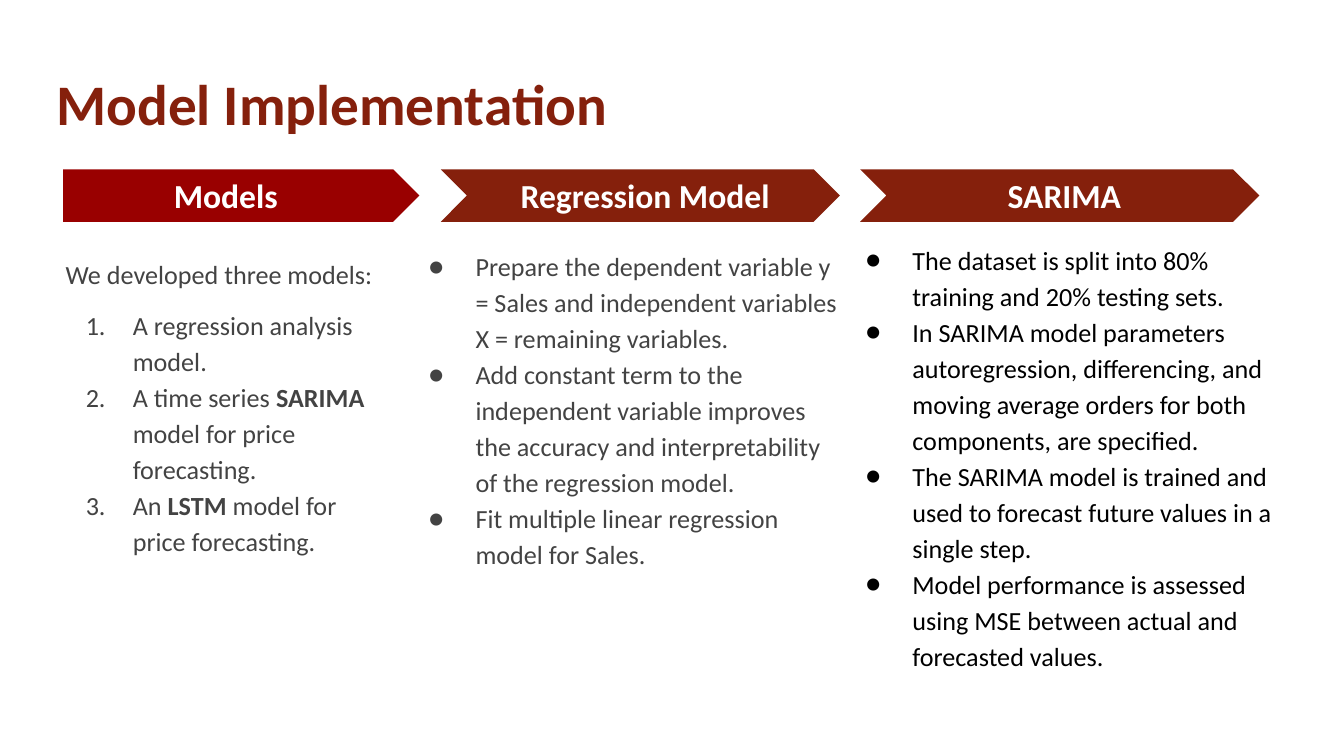
import dataclasses

import pptx
import pptx.dml.color
import pptx.enum.shapes
import pptx.enum.text
import pptx.oxml.ns
import pptx.util
from lxml import etree
from pptx.util import Inches

Kind = pptx.enum.shapes.MSO_SHAPE
Align = pptx.enum.text.PP_ALIGN
Anchor = pptx.enum.text.MSO_ANCHOR


@dataclasses.dataclass(frozen=True)
class Theme:
    font: str = "Calibri"
    rust: str = "85200C"
    red: str = "990000"
    white: str = "FFFFFF"
    gray: str = "434343"
    black: str = "000000"
    title: float = 30.7
    head: float = 18
    body: float = 14


THEME = Theme()

# Words between asterisks are bold
MODELS = [
    "A regression analysis model.",
    "A time series *SARIMA *model for price forecasting.",
    "An *LSTM* model for price forecasting.",
]
REGRESSION = [
    "Prepare the dependent variable y = Sales and independent variables "
    "X = remaining variables.",
    "Add constant term to the independent variable improves the accuracy "
    "and interpretability of the regression model.",
    "Fit multiple linear regression model for Sales.",
]
SARIMA = [
    "The dataset is split into 80% training and 20% testing sets.",
    "In SARIMA model parameters autoregression, differencing, and moving "
    "average orders for both components, are specified.",
    "The SARIMA model is trained and used to forecast future values in a "
    "single step.",
    "Model performance is assessed using MSE between actual and forecasted "
    "values.",
]


def paint(text):
    return pptx.dml.color.RGBColor.from_string(text)


def add_box(slide, left, top, width, height, pad=(0.1, 0.1), anchor=Anchor.TOP):
    box = slide.shapes.add_textbox(
        Inches(left), Inches(top), Inches(width), Inches(height))
    frame = box.text_frame
    frame.word_wrap = True
    frame.vertical_anchor = anchor
    frame.margin_left = frame.margin_right = Inches(pad[0])
    frame.margin_top = frame.margin_bottom = Inches(pad[1])
    return frame


def add_mark(para, mark, color):
    """Give a paragraph a hanging bullet, or a number if mark is '1.'."""
    props = para._p.get_or_add_pPr()
    props.set("marL", str(Inches(0.5)))
    props.set("indent", str(Inches(-0.35)))

    def add(parent, tag, **attrs):
        return etree.SubElement(parent, pptx.oxml.ns.qn(tag), **attrs)

    add(add(props, "a:buClr"), "a:srgbClr", val=color)
    add(props, "a:buFont", typeface=THEME.font)
    if mark == "1.":
        add(props, "a:buAutoNum", type="arabicPeriod")
    else:
        add(props, "a:buChar", char=mark)


def write(frame, text, size=THEME.body, color=THEME.gray, bold=False,
          align=None, line=1.0, before=0, mark=None):
    """Add one paragraph, using the empty first one if it is free."""
    para = frame.paragraphs[0]
    if para.runs:
        para = frame.add_paragraph()
    para.alignment = align
    para.line_spacing = line
    para.space_before = pptx.util.Pt(before)
    if mark:
        add_mark(para, mark, color)
    for i, part in enumerate(text.split("*")):
        run = para.add_run()
        run.text = part
        run.font.name = THEME.font
        run.font.size = pptx.util.Pt(size)
        run.font.bold = bold or i % 2 == 1
        run.font.color.rgb = paint(color)


def add_head(slide, text, kind, left, width, fill, inset):
    shape = slide.shapes.add_shape(
        kind, Inches(left), Inches(1.26), Inches(width), Inches(0.39))
    shape.shadow.inherit = False
    shape.adjustments[0] = 0.5
    shape.fill.solid()
    shape.fill.fore_color.rgb = paint(fill)
    shape.line.fill.background()
    label = add_box(slide, left + inset, 1.32, 2.42, 0.26, anchor=Anchor.MIDDLE)
    write(label, text, size=THEME.head, color=THEME.white, bold=True,
          align=Align.CENTER)


def add_list(frame, items, mark="●", color=THEME.gray, before=0):
    for i, item in enumerate(items):
        write(frame, item, color=color, line=1.15, mark=mark,
              before=0 if i else before)


def main():
    # One slide, 16 to 9
    deck = pptx.Presentation()
    deck.slide_width = Inches(10)
    deck.slide_height = Inches(10) * 9 // 16
    slide = deck.slides.add_slide(deck.slide_layouts[6])

    # Title
    title = add_box(slide, 0.35, 0.52, 7.95, 0.55, (0.07, 0.04), Anchor.MIDDLE)
    write(title, "Model Implementation", size=THEME.title, color=THEME.rust,
          bold=True, line=0.9)

    # Row of arrow headings
    add_head(slide, "Models", Kind.PENTAGON, 0.47, 2.65, THEME.red, 0)
    for i, text in enumerate(["Regression Model", "SARIMA"]):
        add_head(slide, text, Kind.CHEVRON, 3.28 + i * 3.12, 2.97,
                 THEME.rust, 0.31)

    # Models column
    models = add_box(slide, 0.39, 1.79, 2.64, 3.01)
    write(models, "We developed three models:", line=1.15)
    add_list(models, MODELS, mark="1.", before=8)

    # Regression and SARIMA columns
    add_list(add_box(slide, 2.94, 1.73, 3.43, 3.36), REGRESSION)
    add_list(add_box(slide, 6.19, 1.68, 3.52, 3.62), SARIMA, color=THEME.black)

    deck.save("out.pptx")


if __name__ == "__main__":
    main()
